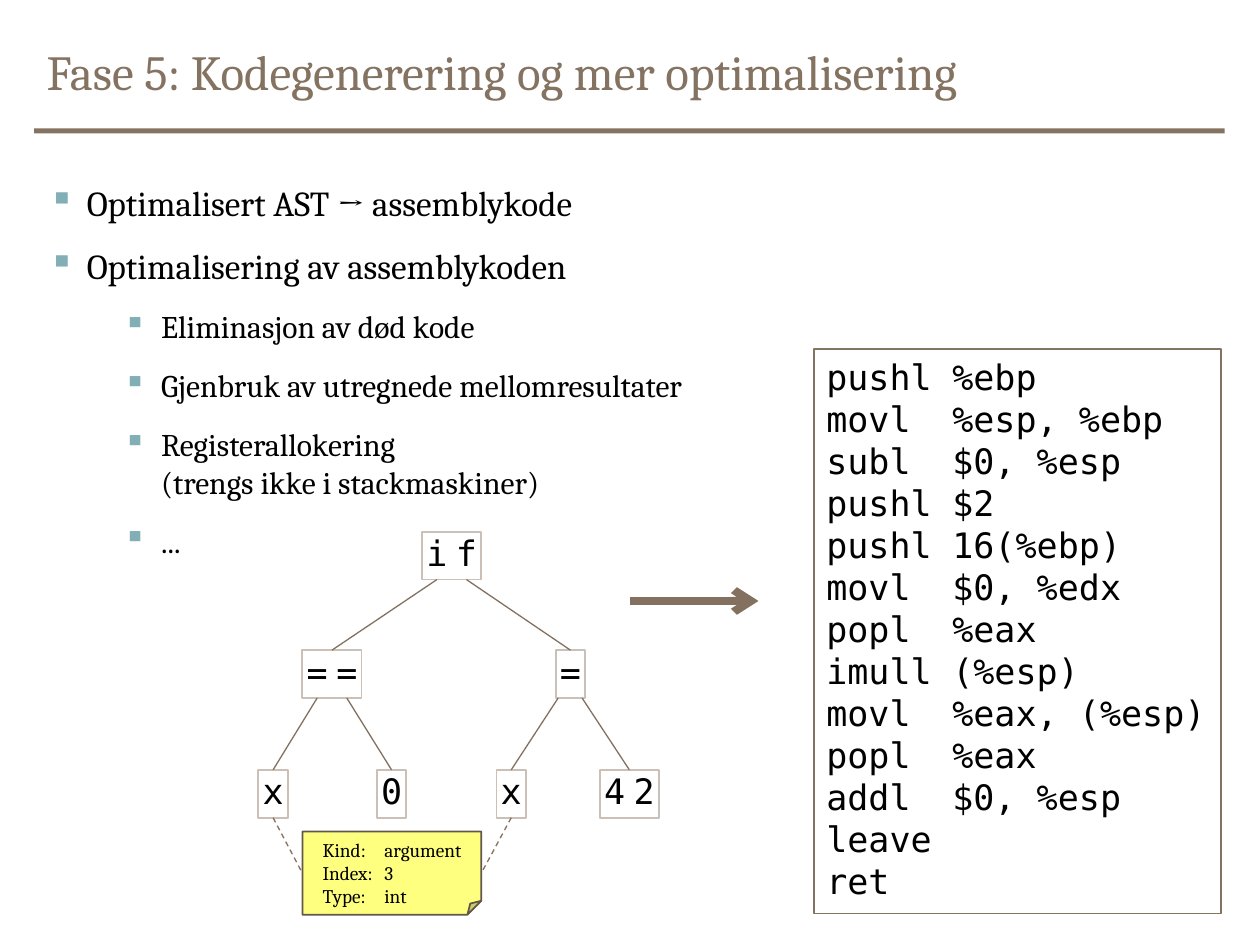
import copy
import dataclasses

import lxml.etree
import pptx
import pptx.dml.color
import pptx.enum.dml
import pptx.enum.shapes
import pptx.enum.text
import pptx.oxml.ns
import pptx.util

Inches = pptx.util.Inches
Pt = pptx.util.Pt
qn = pptx.oxml.ns.qn
Align = pptx.enum.text.PP_ALIGN
Anchor = pptx.enum.text.MSO_ANCHOR
Preset = pptx.enum.shapes.MSO_SHAPE
TOP, LEFT, BOTTOM, RIGHT = range(4)


@dataclasses.dataclass(frozen=True)
class Theme:
    serif: str = "Cambria"
    mono: str = "DejaVu Sans Mono"
    accent: str = "857362"
    edge: str = "83705F"
    node_border: str = "CBC0B7"
    note_fill: str = "FFFF7F"
    note_border: str = "625549"
    bullet: str = "82AEB6"
    paper: str = "FFFFFF"
    ink: str = "000000"
    title_size: int = 28
    large_size: int = 20
    medium_size: int = 18
    note_size: int = 11


def rgb(value):
    return pptx.dml.color.RGBColor.from_string(value)


def write_text(paragraph, text, *, font, size, color, align=Align.LEFT,
               line_spacing=None, space_after=None):
    paragraph.text = text
    paragraph.alignment = align
    if line_spacing:
        paragraph.line_spacing = Pt(line_spacing)
    if space_after:
        paragraph.space_after = Pt(space_after)
    for run in paragraph.runs:
        run.font.name = font
        run.font.size = Pt(size)
        run.font.color.rgb = rgb(color)
    properties = paragraph.runs[0].font._element
    for line_break in paragraph._p.findall(qn("a:br")):
        line_break.append(copy.deepcopy(properties))


def add_bullet(paragraph, level, indent, color):
    paragraph.level = level
    properties = paragraph._p.get_or_add_pPr()
    properties.set("marL", str(Inches(indent)))
    properties.set("indent", str(Inches(-0.3)))
    bullet_color = lxml.etree.SubElement(properties, qn("a:buClr"))
    lxml.etree.SubElement(bullet_color, qn("a:srgbClr"), val=color)
    lxml.etree.SubElement(properties, qn("a:buChar"), char="▪")


def site_point(shape, site):
    across, down = ((0.5, 0), (0, 0.5), (0.5, 1), (1, 0.5))[site]
    return (int(shape.left + shape.width * across),
            int(shape.top + shape.height * down))


class SlideBuilder:
    def __init__(self, slide, theme):
        self.slide = slide
        self.theme = theme
        self.shapes = slide.shapes

    def title(self, text):
        title = self.slide.shapes.title
        title.left, title.top = Inches(0.27), Inches(0.19)
        title.width, title.height = Inches(9.45), Inches(0.79)
        title.text_frame.vertical_anchor = Anchor.MIDDLE
        write_text(title.text_frame.paragraphs[0], text, font=self.theme.serif,
                   size=self.theme.title_size, color=self.theme.accent,
                   line_spacing=30)

    def box(self, left, top, width, height, fill=None, line=None,
            preset=Preset.RECTANGLE):
        shape = self.shapes.add_shape(preset, Inches(left), Inches(top),
                                      Inches(width), Inches(height))
        shape.shadow.inherit = False
        if fill:
            shape.fill.solid()
            shape.fill.fore_color.rgb = rgb(fill)
        else:
            shape.fill.background()
        if line:
            shape.line.color.rgb = rgb(line)
            shape.line.width = Pt(1)
        else:
            shape.line.fill.background()
        return shape

    def bullets(self, items):
        text_box = self.shapes.add_textbox(Inches(0.29), Inches(1.39),
                                           Inches(9.71), Inches(5.31))
        frame = text_box.text_frame
        frame.word_wrap = True
        styles = ((0.3, self.theme.large_size), (0.89, self.theme.medium_size))
        for index, (level, text) in enumerate(items):
            paragraph = frame.add_paragraph() if index else frame.paragraphs[0]
            indent, size = styles[level]
            write_text(paragraph, text, font=self.theme.serif, size=size,
                       color=self.theme.ink, space_after=12)
            add_bullet(paragraph, level, indent, self.theme.bullet)

    def code(self, lines):
        frame = self.box(6.46, 2.77, 3.23, 4.48, line=self.theme.accent).text_frame
        frame.word_wrap = True
        frame.auto_size = pptx.enum.text.MSO_AUTO_SIZE.SHAPE_TO_FIT_TEXT
        frame.vertical_anchor = Anchor.TOP
        for index, line in enumerate(lines):
            paragraph = frame.add_paragraph() if index else frame.paragraphs[0]
            write_text(paragraph, line, font=self.theme.mono,
                       size=self.theme.large_size, color=self.theme.ink)

    def node(self, text, left, top):
        cell_width, height = 0.47 / 2, 0.38
        cells = []
        for index, character in enumerate(text):
            cell = self.box(left + index * cell_width, top, cell_width, height,
                            fill=self.theme.paper)
            frame = cell.text_frame
            frame.margin_left = frame.margin_right = 0
            frame.margin_top = frame.margin_bottom = 0
            frame.word_wrap = False
            frame.vertical_anchor = Anchor.TOP
            write_text(frame.paragraphs[0], character, font=self.theme.mono,
                       size=self.theme.large_size, color=self.theme.ink,
                       align=Align.CENTER)
            cells.append(cell)
        outline = self.box(left, top, cell_width * len(text), height,
                           line=self.theme.node_border)
        return outline, cells

    def note(self, text):
        note = self.box(2.4, 6.6, 1.42, 0.66, fill=self.theme.note_fill,
                        line=self.theme.note_border, preset=Preset.FOLDED_CORNER)
        frame = note.text_frame
        frame.margin_left = frame.margin_top = Inches(0.16)
        frame.margin_right, frame.margin_bottom = Inches(0.1), Inches(0.05)
        frame.vertical_anchor = Anchor.MIDDLE
        paragraph = frame.paragraphs[0]
        write_text(paragraph, text, font=self.theme.serif,
                   size=self.theme.note_size, color=self.theme.ink)
        tabs = lxml.etree.SubElement(paragraph._p.get_or_add_pPr(), qn("a:tabLst"))
        lxml.etree.SubElement(tabs, qn("a:tab"), pos=str(Inches(0.49)), algn="l")
        return note

    def line(self, start, end, width=0.75, dashed=False, arrow=False):
        points = [(Inches(first), Inches(second)) if isinstance(first, float)
                  else site_point(first, second) for first, second in (start, end)]
        connector = self.shapes.add_connector(
            pptx.enum.shapes.MSO_CONNECTOR.STRAIGHT, *points[0], *points[1])
        if not isinstance(start[0], float):
            connector.begin_connect(*start)
        if not isinstance(end[0], float):
            connector.end_connect(*end)
        connector.line.color.rgb = rgb(self.theme.edge)
        connector.line.width = Pt(width)
        if dashed:
            connector.line.dash_style = pptx.enum.dml.MSO_LINE.DASH
        properties = connector._element.spPr
        if arrow:
            lxml.etree.SubElement(properties.find(qn("a:ln")), qn("a:tailEnd"),
                                  type="arrow")
        lxml.etree.SubElement(properties, qn("a:effectLst"))

    def syntax_tree(self):
        self.shapes = self.slide.shapes.add_group_shape().shapes
        root_top, middle_top, leaf_top = 4.22, 5.16, 6.11
        _, root_cells = self.node("if", 3.35, root_top)
        equality, equality_cells = self.node("==", 2.4, middle_top)
        number, _ = self.node("42", 4.76, leaf_top)
        zero, _ = self.node("0", 2.99, leaf_top)
        left_x, _ = self.node("x", 2.05, leaf_top)
        right_x, _ = self.node("x", 3.94, leaf_top)
        assignment, _ = self.node("=", 4.41, middle_top)
        edges = (
            ((root_cells[0], BOTTOM), equality),
            ((root_cells[1], BOTTOM), assignment),
            ((equality_cells[0], BOTTOM), left_x),
            ((equality_cells[1], BOTTOM), zero),
            ((4.43, 5.54), right_x),
            ((4.62, 5.54), number),
        )
        for start, child in edges:
            self.line(start, (child, TOP))
        note = self.note("Kind:\targument\vIndex:\t3\vType:\tint")
        for variable, side in ((left_x, LEFT), (right_x, RIGHT)):
            self.line((variable, BOTTOM), (note, side), dashed=True)
        self.shapes = self.slide.shapes


def main():
    presentation = pptx.Presentation()
    presentation.slide_width, presentation.slide_height = Inches(10), Inches(7.5)
    slide = presentation.slides.add_slide(presentation.slide_layouts[5])
    theme = Theme()
    builder = SlideBuilder(slide, theme)
    builder.box(0.27, 1.02, 9.45, 0.04, fill=theme.accent)
    builder.title("Fase 5: Kodegenerering og mer optimalisering")
    builder.bullets((
        (0, "Optimalisert AST → assemblykode"),
        (0, "Optimalisering av assemblykoden"),
        (1, "Eliminasjon av død kode"),
        (1, "Gjenbruk av utregnede mellomresultater"),
        (1, "Registerallokering \v(trengs ikke i stackmaskiner)"),
        (1, "..."),
    ))
    builder.code((
        "pushl\t%ebp", "movl\t%esp, %ebp", "subl\t$0, %esp", "pushl\t$2",
        "pushl\t16(%ebp)", "movl\t$0, %edx", "popl\t%eax", "imull\t(%esp)",
        "movl\t%eax, (%esp)", "popl\t%eax", "addl\t$0, %esp", "leave", "ret",
    ))
    builder.syntax_tree()
    builder.line((5.0, 4.77), (6.02, 4.77), width=4.5, arrow=True)
    presentation.save("out.pptx")


if __name__ == "__main__":
    main()
